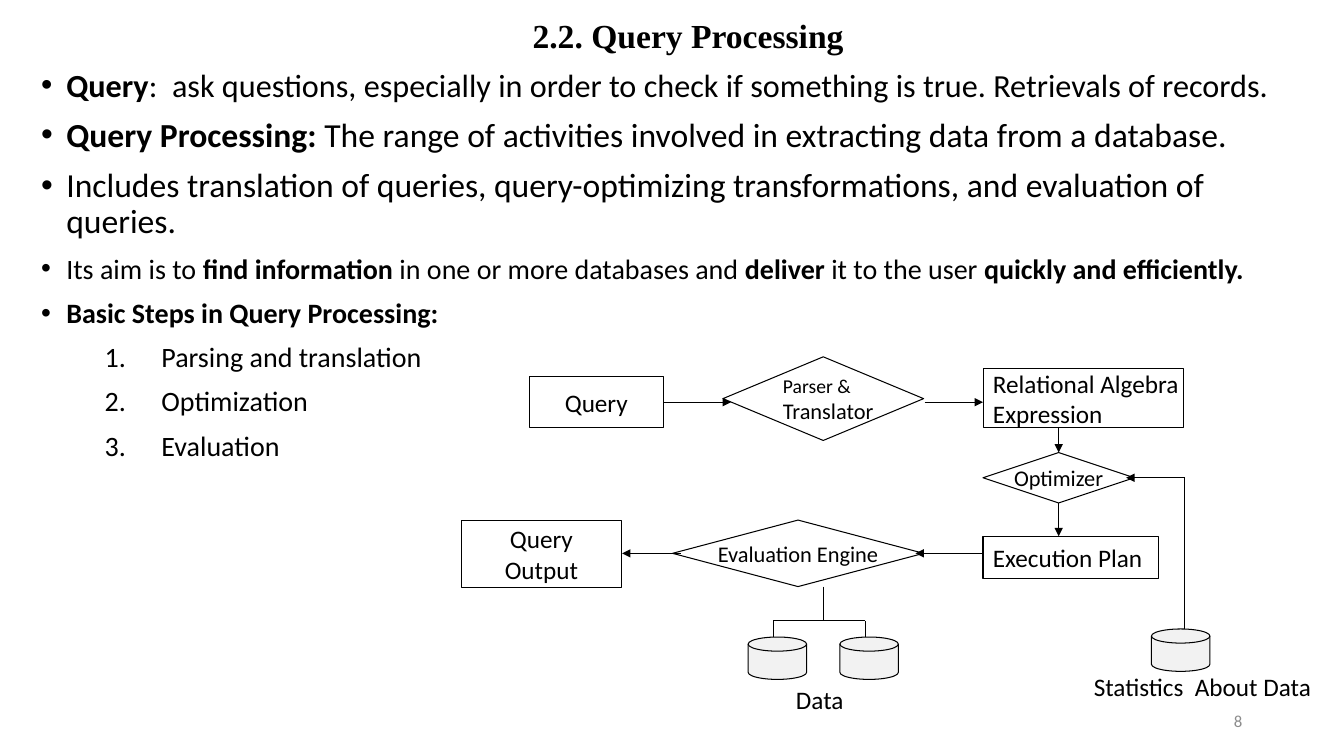
from lxml import etree
from pptx import Presentation, util as u
from pptx.dml.color import RGBColor
from pptx.enum import shapes, text
from pptx.oxml.ns import qn

PX = 9144  # 100 px to the inch
WIDE, HIGH = 1333, 750
BLACK, GREY, SILVER = "000000", "8C8C8C", "E7E6E6"
SANS, SERIF = "Calibri", "Times New Roman"
LEFT, MID, RIGHT = text.PP_ALIGN.LEFT, text.PP_ALIGN.CENTER, text.PP_ALIGN.RIGHT
TOP, CENTRE = text.MSO_ANCHOR.TOP, text.MSO_ANCHOR.MIDDLE
KIND = shapes.MSO_SHAPE

# Body text: parts between asterisks are bold
TITLE = "*2.2. Query Processing*"
POINTS = [
    (23, "*Query*:  ask questions, especially in order to check if something is true. "
         "Retrievals of records."),
    (24, "*Query Processing: *The range of activities involved in extracting data "
         "from a database."),
    (24, "Includes translation of queries, query-optimizing transformations, "
         "and evaluation of queries."),
    (20, "Its aim is to *find information *in one or more databases and *deliver* "
         "it to the user *quickly and efficiently.*"),
    (20, "*Basic Steps in Query Processing:*"),
]
STEPS = ["Parsing and translation", "Optimization", "Evaluation"]

# Diagram: kind, box, lines of (text, size, alignment)
NODES = [
    (KIND.RECTANGLE, (525, 374, 133, 50), [("Query", 18, MID)]),
    (KIND.RECTANGLE, (458, 516, 158, 67), [("Query", 18, MID), ("Output", 18, MID)]),
    (KIND.RECTANGLE, (975, 366, 199, 58),
     [("Relational Algebra", 18, LEFT), ("Expression", 18, LEFT)]),
    (KIND.RECTANGLE, (975, 532, 174, 42), [("Execution Plan", 18, LEFT)]),
    (KIND.DIAMOND, (717, 354, 199, 83), [("Parser &", 14, LEFT), ("Translator", 16, MID)]),
    (KIND.DIAMOND, (667, 516, 249, 66), [("Evaluation Engine", 16, MID)]),
    (KIND.DIAMOND, (975, 449, 150, 50), [("Optimizer", 16, MID)]),
]
DISKS = [(742, 632), (833, 632), (1142, 624)]
DISK = (58, 42)
ARROWS = [
    (658, 399, 725, 399), (917, 399, 975, 399), (1050, 424, 1050, 449),
    (1050, 499, 1050, 532), (975, 549, 908, 549), (675, 549, 617, 549),
    (1175, 474, 1117, 474),
]
LINES = [
    (817, 582, 817, 616), (767, 616, 858, 616), (767, 616, 767, 632),
    (858, 616, 858, 632), (1175, 474, 1175, 624),
]
# Labels: text, box, size, colour, alignment, anchor, line spacing
LABELS = [
    ("8", (942, 695, 300, 40), 12, GREY, RIGHT, CENTRE, 1.0),
    ("Data", (767, 674, 92, 40), 18, BLACK, MID, TOP, 1.0),
    ("Statistics  About Data", (1075, 674, 258, 28), 18, BLACK, LEFT, TOP, 0.5),
]

deck = Presentation()
deck.slide_width, deck.slide_height = WIDE * PX, HIGH * PX
slide = deck.slides.add_slide(deck.slide_layouts[6])


def rgb(code):
    return RGBColor.from_string(code)


def scale(box):
    return [n * PX for n in box]


def put(thing, **vals):
    for key, val in vals.items():
        setattr(thing, key, val)


def write(para, words, size, tint=BLACK, face=SANS, **form):
    put(para, **form)
    for i, part in enumerate(words.split("*")):
        if part:
            run = para.add_run()
            run.text = part
            put(run.font, size=u.Pt(size), name=face, bold=i % 2 == 1)
            run.font.color.rgb = rgb(tint)


def indent(para, left, hang=0, mark=None):
    props = para._p.get_or_add_pPr()
    props.set("marL", str(left * PX))
    props.set("indent", str(-hang * PX))
    if mark:
        etree.SubElement(props, qn("a:buFont")).set("typeface", "Arial")
        etree.SubElement(props, qn("a:buChar")).set("char", mark)


def area(box, anchor=TOP):
    frame = slide.shapes.add_textbox(*scale(box)).text_frame
    put(frame, word_wrap=True, vertical_anchor=anchor)
    return frame


def node(kind, box, rows=()):
    item = slide.shapes.add_shape(kind, *scale(box))
    item.shadow.inherit = False
    item.fill.background()
    item.line.color.rgb = rgb(BLACK)
    item.line.width = u.Pt(0.75)
    frame = item.text_frame
    put(frame, word_wrap=False, vertical_anchor=CENTRE)
    for i, (words, size, align) in enumerate(rows):
        para = frame.add_paragraph() if i else frame.paragraphs[0]
        write(para, words, size, alignment=align)
    return item


def link(ends, head=False):
    line = slide.shapes.add_connector(shapes.MSO_CONNECTOR.STRAIGHT, *scale(ends))
    line.line.color.rgb = rgb(BLACK)
    line.line.width = u.Pt(0.75)
    if head:
        tip = etree.SubElement(line.line._get_or_add_ln(), qn("a:tailEnd"))
        tip.set("type", "triangle")
    etree.SubElement(line._element.spPr, qn("a:effectLst"))


# Title, bullets and numbered steps
body = area((31, 10, 1273, 714))
para = body.paragraphs[0]
write(para, TITLE, 24, face=SERIF, alignment=MID, space_before=u.Pt(5))
indent(para, 30)
gaps = dict(line_spacing=0.9, space_before=u.Pt(10))
for size, words in POINTS:
    para = body.add_paragraph()
    write(para, words, size, **gaps)
    indent(para, 25, 25, "•")
for i, step in enumerate(STEPS, 1):
    para = body.add_paragraph()
    write(para, f"{i}.\t {step}", 20, **gaps)
    indent(para, 63)

# Boxes and diamonds
for kind, box, rows in NODES:
    node(kind, box, rows)

# Half-transparent data disks
for spot in DISKS:
    disk = node(KIND.FLOWCHART_MAGNETIC_DISK, spot + DISK)
    disk.fill.solid()
    disk.fill.fore_color.rgb = rgb(SILVER)
    tint = disk._element.spPr.find(qn("a:solidFill"))[0]
    etree.SubElement(tint, qn("a:alpha")).set("val", "50000")

# Arrows and plain lines
for ends in ARROWS:
    link(ends, head=True)
for ends in LINES:
    link(ends)

# Page number and captions
for words, box, size, tint, align, anchor, lead in LABELS:
    para = area(box, anchor).paragraphs[0]
    write(para, words, size, tint, alignment=align, line_spacing=lead)

deck.save("out.pptx")
